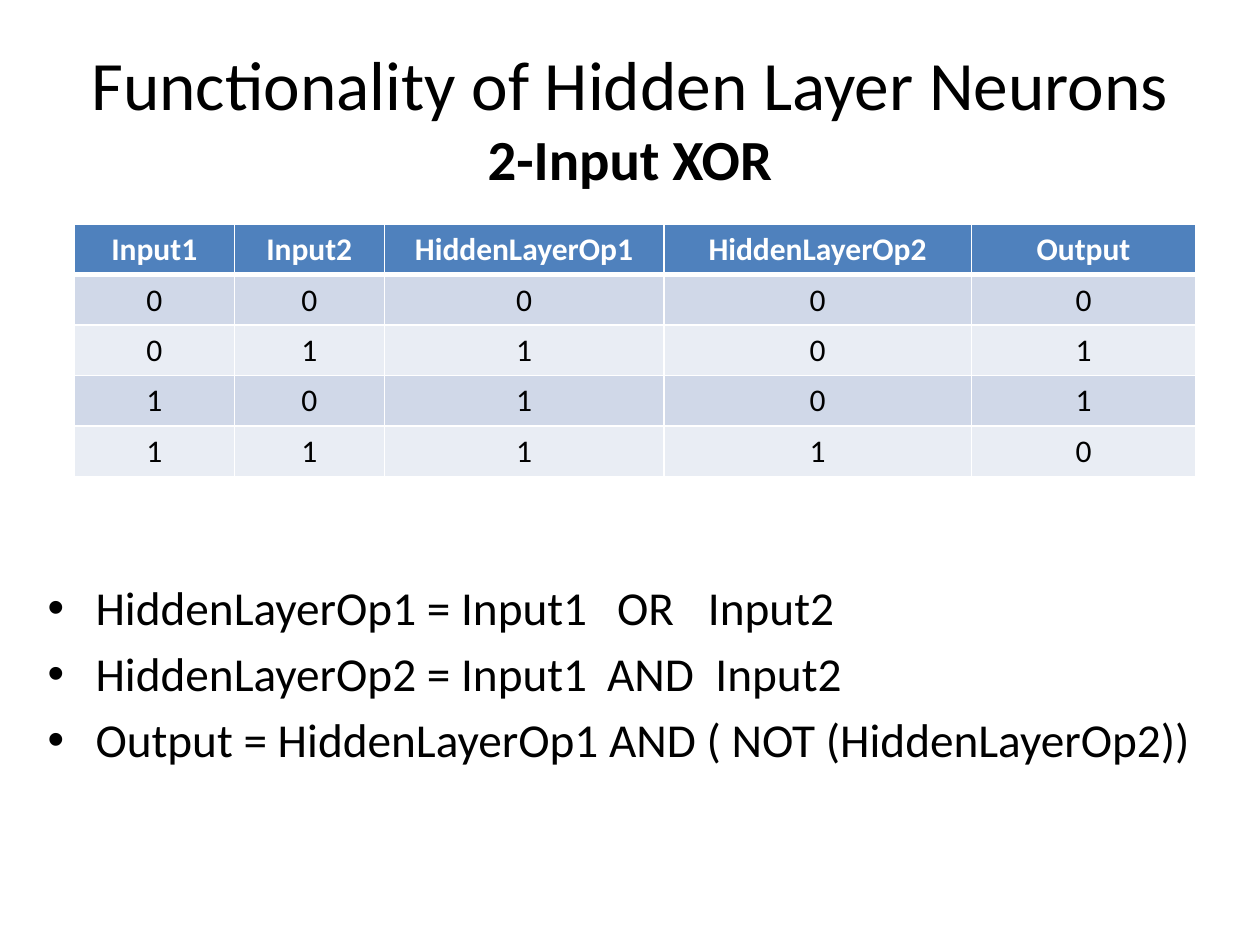
from lxml.etree import SubElement
from pptx import Presentation
from pptx.dml.color import RGBColor
from pptx.enum.text import MSO_ANCHOR, PP_ALIGN
from pptx.oxml.ns import qn
from pptx.util import Inches, Pt

COLORS = {"text": "000000", "white": "FFFFFF", "header": "4F81BD",
          "odd": "D0D8E8", "even": "E9EDF4"}


def set_font(item, size, color="text", bold=False):
    font = item.font
    font.name, font.size, font.bold = "Calibri", Pt(size), bold
    font.color.rgb = RGBColor.from_string(COLORS[color])


def add_border(cell, side, width):
    """Draw a white line on one side (L, R, T or B) of a cell."""
    ln = SubElement(cell._tc.get_or_add_tcPr(), qn(f"a:ln{side}"), w=str(Pt(width)))
    fill = SubElement(ln, qn("a:solidFill"))
    SubElement(fill, qn("a:srgbClr"), val=COLORS["white"])


prs = Presentation()
prs.slide_width, prs.slide_height = Inches(10), Inches(7.5)
s = prs.slides.add_slide(prs.slide_layouts[6])

# Title
title = s.shapes.add_textbox(Inches(0.5), Inches(0.3), Inches(9), Inches(1.25))
tf = title.text_frame
tf.word_wrap = True
tf.vertical_anchor = MSO_ANCHOR.MIDDLE
p = tf.paragraphs[0]
p.alignment = PP_ALIGN.CENTER
r = p.add_run()
r.text = "Functionality of Hidden Layer Neurons"
set_font(r, 39.6)
p.add_line_break()
r = p.add_run()
r.text = "2-Input XOR"
set_font(r, 32.4, bold=True)

# Rules for the hidden and output neurons, with tab stops around the operators
rules = [
    ("HiddenLayerOp1 = Input1\tOR\tInput2", (4.52, 5.24)),
    ("HiddenLayerOp2 = Input1\tAND\tInput2", (4.44, 5.3)),
    ("Output = HiddenLayerOp1 AND ( NOT (HiddenLayerOp2))", ()),
]
body = s.shapes.add_textbox(Inches(0.28), Inches(4.54), Inches(9.45), Inches(2.16))
tf = body.text_frame
tf.word_wrap = True
for i, (rule, stops) in enumerate(rules):
    p = tf.add_paragraph() if i else tf.paragraphs[0]
    p.text = rule
    if i:
        p.space_before = Pt(5.4)
    pPr = p._p.get_or_add_pPr()
    pPr.set("marL", str(Inches(0.38)))
    pPr.set("indent", str(Inches(-0.38)))
    SubElement(pPr, qn("a:buFont"), typeface="Arial")
    SubElement(pPr, qn("a:buChar"), char="•")
    if stops:
        tabs = SubElement(pPr, qn("a:tabLst"))
        for stop in stops:
            SubElement(tabs, qn("a:tab"), pos=str(Inches(stop)), algn="l")
    set_font(p, 27)

# Truth table
headers = ["Input1", "Input2", "HiddenLayerOp1", "HiddenLayerOp2", "Output"]
inputs = [(a, b) for a in (0, 1) for b in (0, 1)]
rows = [headers] + [[a, b, a | b, a & b, a ^ b] for a, b in inputs]
widths = [1.27, 1.19, 2.22, 2.44, 1.78]
table = s.shapes.add_table(len(rows), len(widths), Inches(0.59), Inches(1.78),
                           Inches(sum(widths)), Inches(2)).table
for column, width in zip(table.columns, widths):
    column.width = Inches(width)
for i, values in enumerate(rows):
    table.rows[i].height = Inches(0.4)
    band = "header" if i == 0 else "odd" if i % 2 else "even"
    for j, value in enumerate(values):
        cell = table.cell(i, j)
        cell.vertical_anchor = MSO_ANCHOR.TOP
        for side in "LRTB":
            on_header_rule = (i, side) in ((0, "B"), (1, "T"))
            add_border(cell, side, 3 if on_header_rule else 1)
        cell.fill.solid()
        cell.fill.fore_color.rgb = RGBColor.from_string(COLORS[band])
        p = cell.text_frame.paragraphs[0]
        p.text = str(value)
        p.alignment = PP_ALIGN.CENTER
        set_font(p, 18, "text" if i else "white", bold=i == 0)

prs.save("out.pptx")
